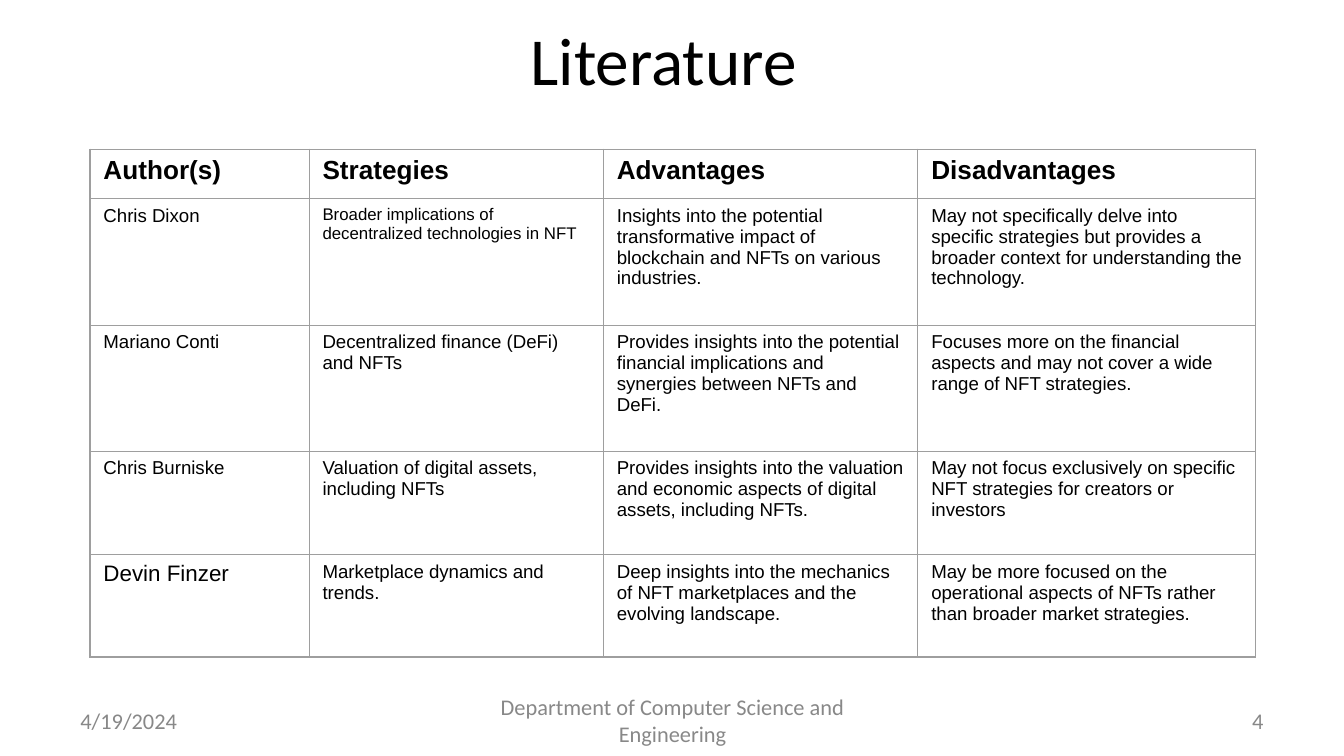
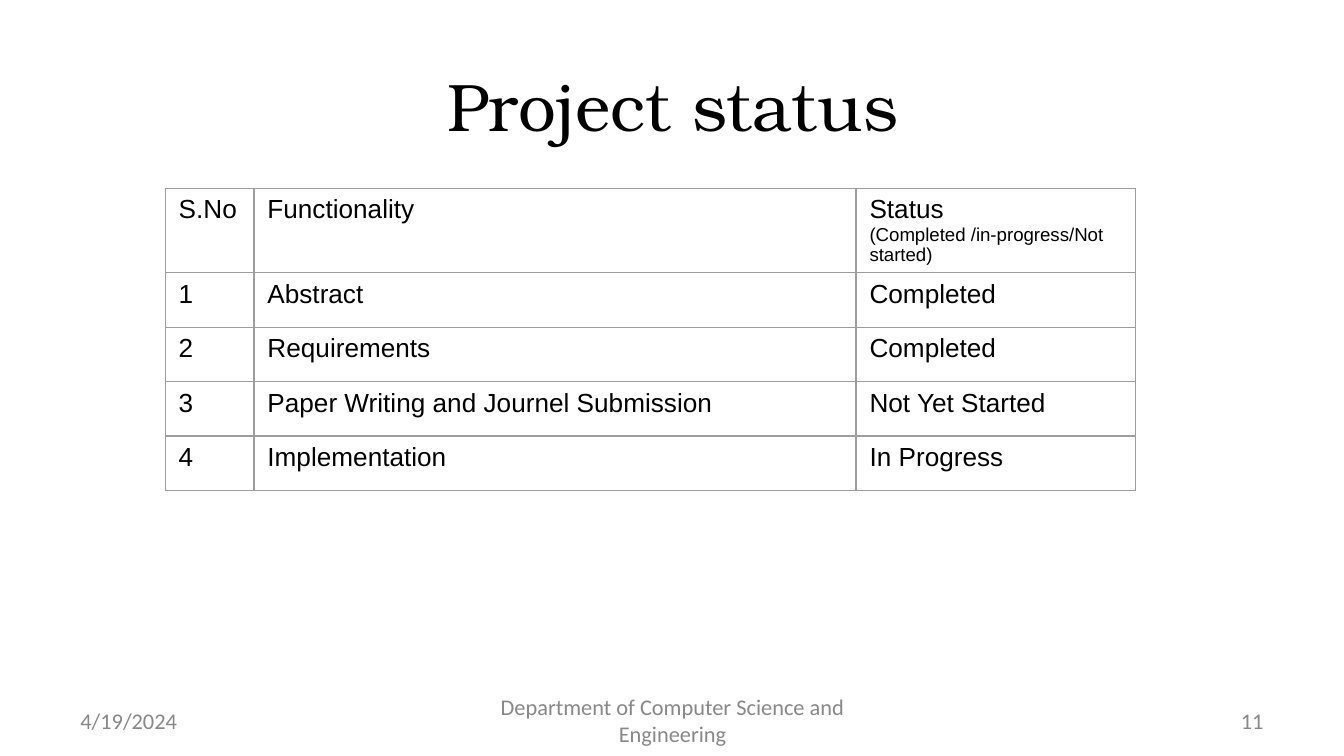
import dataclasses
import lxml.etree
import pptx
import pptx.dml.color
import pptx.enum.text
import pptx.oxml.ns
import pptx.util

Inches = pptx.util.Inches
Pt = pptx.util.Pt
ALIGN = pptx.enum.text.PP_ALIGN


@dataclasses.dataclass(frozen=True)
class Theme:
    ink: str = "000000"
    muted: str = "888888"
    rule: str = "9E9E9E"
    rule_width: float = 0.75
    heading_font: str = "Calibri"
    serif_font: str = "TeX Gyre Bonum"
    table_font: str = "Arial"
    footer_font: str = "Calibri"
    title: int = 36
    header: int = 14
    name: int = 12
    body: int = 10
    small: int = 9
    footer: int = 12


THEME = Theme()
SLIDE_WIDTH = 10
SLIDE_HEIGHT = SLIDE_WIDTH * 9 / 16
TITLE_SIZE = (6.69, 0.69)
FOOTER_TOP, FOOTER_HEIGHT = 5.21, 0.3

# Content: a cell is plain text, or a list of (text, size) paragraphs
LITERATURE = {
    "title": "Literature ", "title_font": THEME.heading_font, "title_at": (1.65, 0.09),
    "number": "4",
    "table_at": (0.67, 1.11),
    "columns": [1.63, 2.19, 2.34, 2.51],
    "row_heights": [0.37, 0.94, 0.94, 0.77, 0.76],
    "body_size": THEME.body, "bold_header": True,
    "rows": [
        ["Author(s)", "Strategies", "Advantages", "Disadvantages"],
        ["Chris Dixon",
         [("Broader implications of decentralized technologies in NFT", THEME.small)],
         "Insights into the potential transformative impact of blockchain and NFTs "
         "on various industries.",
         "May not specifically delve into specific strategies but provides a broader "
         "context for understanding the technology."],
        ["Mariano Conti",
         "Decentralized finance (DeFi) and NFTs",
         "Provides insights into the potential financial implications and synergies "
         "between NFTs and DeFi.",
         "Focuses more on the financial aspects and may not cover a wide range of "
         "NFT strategies."],
        ["Chris Burniske",
         "Valuation of digital assets, including NFTs",
         "Provides insights into the valuation and economic aspects of digital assets, "
         "including NFTs.",
         "May not focus exclusively on specific NFT strategies for creators or investors"],
        [[("Devin Finzer", THEME.name)],
         "Marketplace dynamics and trends.",
         "Deep insights into the mechanics of NFT marketplaces and the evolving landscape.",
         "May be more focused on the operational aspects of NFTs rather than broader "
         "market strategies."],
    ],
}
STATUS = {
    "title": "Project status", "title_font": THEME.serif_font, "title_at": (1.66, 0.43),
    "number": "11",
    "table_at": (1.23, 1.4),
    "columns": [0.66, 4.48, 2.08],
    "row_heights": [0.63] + [1.62 / 4] * 4,
    "body_size": THEME.header, "bold_header": False,
    "rows": [
        ["S.No", "Functionality",
         [("Status", THEME.header), ("(Completed /in-progress/Not started)", THEME.body)]],
        ["1", "Abstract", "Completed"],
        ["2", "Requirements", "Completed"],
        ["3", "Paper Writing and Journel Submission", "Not Yet Started"],
        ["4", "Implementation", "In Progress"],
    ],
}
DATE = "4/19/2024"
DEPARTMENT = "Department of Computer Science and Engineering"


# Shared text helpers
def add_run(paragraph, text, size, font, color, bold=False):
    run = paragraph.add_run()
    run.text = text
    run.font.size = Pt(size)
    run.font.name = font
    run.font.bold = bold
    run.font.color.rgb = pptx.dml.color.RGBColor.from_string(color)


def set_frame(frame):
    frame.word_wrap = True
    frame.auto_size = pptx.enum.text.MSO_AUTO_SIZE.NONE
    frame.vertical_anchor = pptx.enum.text.MSO_ANCHOR.MIDDLE


# Title and footers
def add_title(slide, page):
    title = slide.shapes.title
    title.left, title.top = map(Inches, page["title_at"])
    title.width, title.height = map(Inches, TITLE_SIZE)
    set_frame(title.text_frame)
    heading = title.text_frame.paragraphs[0]
    heading.alignment = ALIGN.CENTER
    add_run(heading, page["title"], THEME.title, page["title_font"], THEME.ink)


def add_footers(slide, number):
    footers = [(DATE, 0.5, 2.33, ALIGN.LEFT),
               (DEPARTMENT, 3.42, 3.17, ALIGN.CENTER),
               (number, 7.17, 2.33, ALIGN.RIGHT)]
    for text, left, width, alignment in footers:
        footer = slide.shapes.add_textbox(
            *map(Inches, (left, FOOTER_TOP, width, FOOTER_HEIGHT)))
        set_frame(footer.text_frame)
        line = footer.text_frame.paragraphs[0]
        line.alignment = alignment
        add_run(line, text, THEME.footer, THEME.footer_font, THEME.muted)


# Ruled table
def set_borders(cell):
    qn = pptx.oxml.ns.qn
    properties = cell._tc.get_or_add_tcPr()
    for side in ("a:lnL", "a:lnR", "a:lnT", "a:lnB"):
        border = lxml.etree.SubElement(properties, qn(side), w=str(Pt(THEME.rule_width)))
        fill = lxml.etree.SubElement(border, qn("a:solidFill"))
        lxml.etree.SubElement(fill, qn("a:srgbClr"), val=THEME.rule)


def add_table(slide, page):
    rows, columns, heights = page["rows"], page["columns"], page["row_heights"]
    table = slide.shapes.add_table(
        len(rows), len(columns), *map(Inches, page["table_at"]),
        Inches(sum(columns)), Inches(sum(heights))).table
    table.first_row = table.horz_banding = False
    for column, width in zip(table.columns, columns):
        column.width = Inches(width)
    for row, height in zip(table.rows, heights):
        row.height = Inches(height)

    for r, row in enumerate(rows):
        size = page["body_size"] if r else THEME.header
        bold = page["bold_header"] and r == 0
        for c, content in enumerate(row):
            cell = table.cell(r, c)
            set_borders(cell)
            cell.fill.background()
            lines = [(content, size)] if isinstance(content, str) else content
            for i, (text, line_size) in enumerate(lines):
                frame = cell.text_frame
                paragraph = frame.add_paragraph() if i else frame.paragraphs[0]
                add_run(paragraph, text, line_size, THEME.table_font, THEME.ink, bold)


def main():
    deck = pptx.Presentation()
    deck.slide_width = Inches(SLIDE_WIDTH)
    deck.slide_height = Inches(SLIDE_HEIGHT)
    title_only = deck.slide_layouts[5]
    for page in (LITERATURE, STATUS):
        slide = deck.slides.add_slide(title_only)
        add_title(slide, page)
        add_table(slide, page)
        add_footers(slide, page["number"])
    deck.save("out.pptx")


if __name__ == "__main__":
    main()
